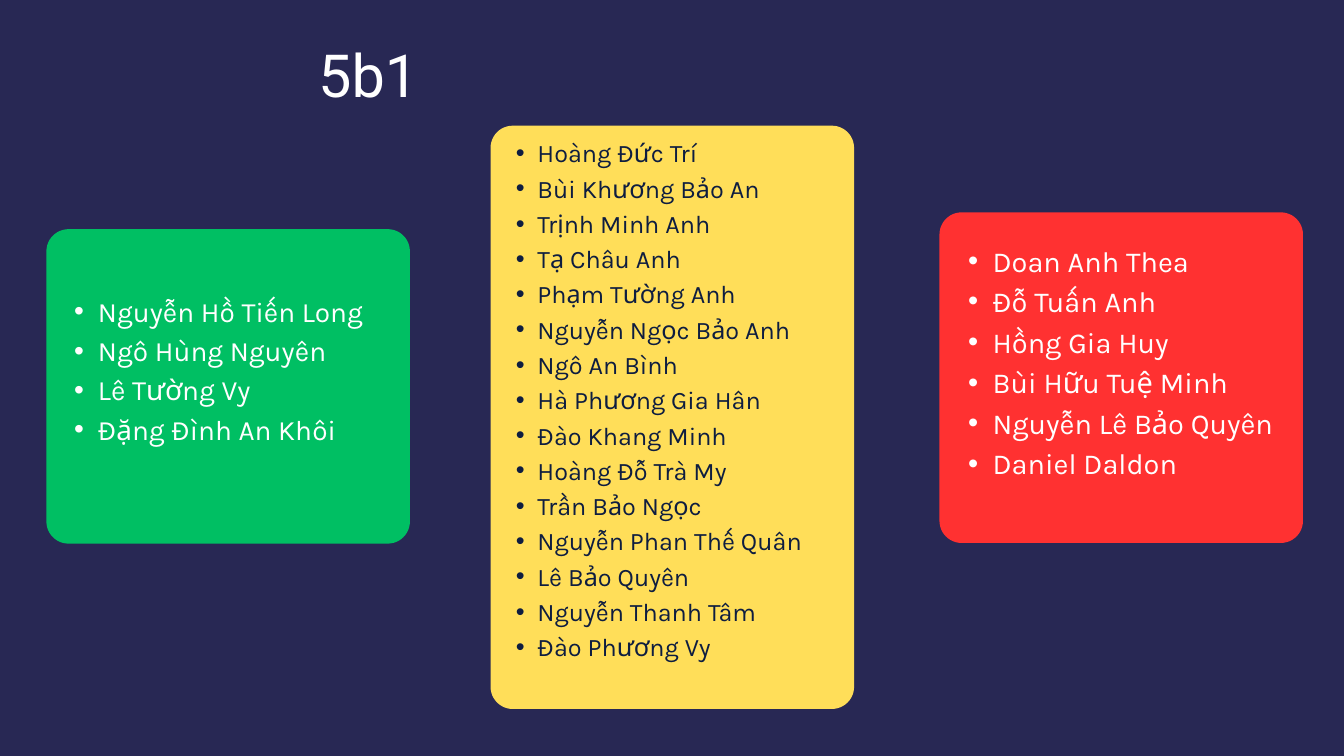
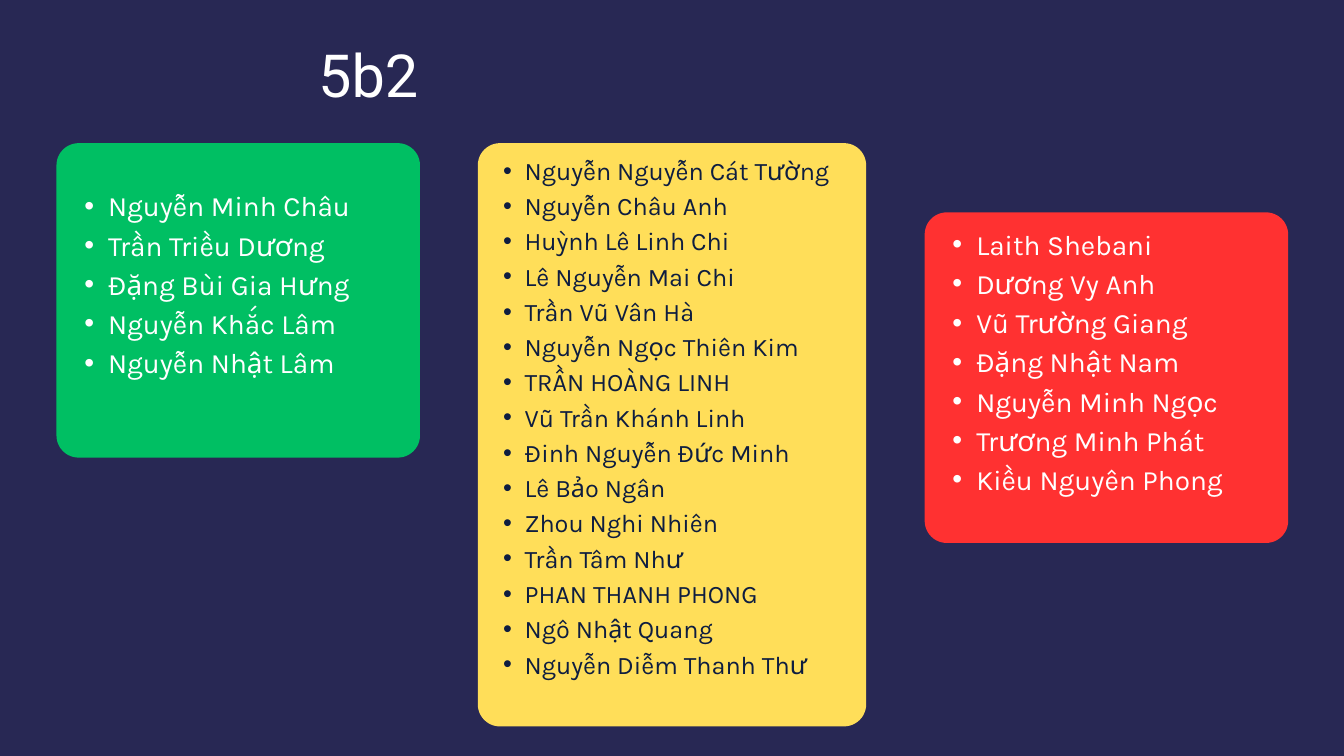
"""Build the class lists of 5b1 and 5b2, each in three coloured cards."""
from collections import namedtuple

from lxml import etree
from pptx import Presentation
from pptx import util as u
from pptx.dml.color import RGBColor
from pptx.enum import shapes, text
from pptx.oxml import ns

NAVY = RGBColor(0x28, 0x28, 0x54)
INK = RGBColor(0x0E, 0x1D, 0x40)
WHITE = RGBColor(0xFF, 0xFF, 0xFF)
GREEN = RGBColor(0x00, 0xBF, 0x63)
YELLOW = RGBColor(0xFF, 0xDE, 0x59)
RED = RGBColor(0xFF, 0x31, 0x31)

CORNER = 0.33
PADDING = 0.06
FOOT_SPACE = 0.37
LINE_RATIO = 1.4
INDENT_RATIO = 1.7

Look = namedtuple("Look", "fill ink rise")
Card = namedtuple("Card", "look left top width height size names")

GREEN_LOOK = Look(GREEN, WHITE, 0.2)
YELLOW_LOOK = Look(YELLOW, INK, 0.23)
RED_LOOK = Look(RED, WHITE, 0.19)

CLASSES = {
    "5b1": [
        Card(RED_LOOK, 13.98, 3.16, 5.41, 4.92, 31, [
            "Doan Anh Thea", "Đỗ Tuấn Anh", "Hồng Gia Huy",
            "Bùi Hữu Tuệ Minh", "Nguyễn Lê Bảo Quyên", "Daniel Daldon"]),
        Card(YELLOW_LOOK, 7.3, 1.87, 5.41, 8.68, 27, [
            "Hoàng Đức Trí", "Bùi Khương Bảo An", "Trịnh Minh Anh",
            "Tạ Châu Anh", "Phạm Tường Anh", "Nguyễn Ngọc Bảo Anh",
            "Ngô An Bình", "Hà Phương Gia Hân", "Đào Khang Minh",
            "Hoàng Đỗ Trà My", "Trần Bảo Ngọc", "Nguyễn Phan Thế Quân",
            "Lê Bảo Quyên", "Nguyễn Thanh Tâm", "Đào Phương Vy"]),
        Card(GREEN_LOOK, 0.69, 3.41, 5.41, 4.68, 30, [
            "Nguyễn Hồ Tiến Long", "Ngô Hùng Nguyên", "Lê Tường Vy",
            "Đặng Đình An Khôi"]),
    ],
    "5b2": [
        Card(RED_LOOK, 13.76, 3.16, 5.41, 4.92, 30, [
            "Laith Shebani", "Dương Vy Anh", "Vũ Trường Giang",
            "Đặng Nhật Nam", "Nguyễn Minh Ngọc", "Trương Minh Phát",
            "Kiều Nguyên Phong"]),
        Card(YELLOW_LOOK, 7.11, 2.13, 5.78, 8.68, 27, [
            "Nguyễn Nguyễn Cát Tường", "Nguyễn Châu Anh", "Huỳnh Lê Linh Chi",
            "Lê Nguyễn Mai Chi", "Trần Vũ Vân Hà", "Nguyễn Ngọc Thiên Kim",
            "TRẦN HOÀNG LINH", "Vũ Trần Khánh Linh", "Đinh Nguyễn Đức Minh",
            "Lê Bảo Ngân", "Zhou Nghi Nhiên", "Trần Tâm Như",
            "PHAN THANH PHONG", "Ngô Nhật Quang", "Nguyễn Diễm Thanh Thư"]),
        Card(GREEN_LOOK, 0.84, 2.13, 5.41, 4.68, 30, [
            "Nguyễn Minh Châu", "Trần Triều Dương", "Đặng Bùi Gia Hưng",
            "Nguyễn Khắc Lâm", "Nguyễn Nhật Lâm"]),
    ],
}


def set_all(target, values):
    """Set every attribute named in a dict of values."""
    for name, value in values.items():
        setattr(target, name, value)


def add_text_frame(page, left, top, width, height, padding, foot, anchor):
    """Add a wrapping text box and return its text frame."""
    box = page.shapes.add_textbox(*map(u.Inches, (left, top, width, height)))
    frame = box.text_frame
    set_all(frame, {
        "word_wrap": True,
        "vertical_anchor": anchor,
        "margin_left": u.Inches(padding),
        "margin_right": u.Inches(padding),
        "margin_top": u.Inches(padding),
        "margin_bottom": u.Inches(padding + foot),
    })
    return frame


def write_line(para, words, font, size, colour, spacing):
    """Write one formatted line in a paragraph."""
    para.line_spacing = u.Pt(spacing)
    span = para.add_run()
    span.text = words
    set_all(span.font, {"name": font, "size": u.Pt(size)})
    span.font.color.rgb = colour


def add_bullet(para, size):
    """Give a paragraph a bullet with a hanging indent that follows its size."""
    para.level = 1
    properties = para._p.get_or_add_pPr()
    indent = u.Pt(size * INDENT_RATIO)
    properties.set("marL", str(indent))
    properties.set("indent", str(-indent // 2))
    etree.SubElement(properties, ns.qn("a:buFont"), typeface="Arial")
    etree.SubElement(properties, ns.qn("a:buChar"), char="•")


def add_title(page, words):
    """Add the class name above the cards."""
    frame = add_text_frame(page, 0.69, 0.65, 9.58, 1, 0, 0, text.MSO_ANCHOR.TOP)
    para = frame.paragraphs[0]
    para.alignment = text.PP_ALIGN.CENTER
    write_line(para, words, "Roboto", 63.6, WHITE, 70.6)


def add_card(page, card):
    """Add a rounded card and its bulleted list of names."""
    look = card.look
    area = map(u.Inches, (card.left, card.top, card.width, card.height))
    panel = page.shapes.add_shape(shapes.MSO_SHAPE.ROUNDED_RECTANGLE, *area)
    panel.adjustments[0] = CORNER / min(card.width, card.height)
    panel.shadow.inherit = False
    panel.fill.solid()
    panel.fill.fore_color.rgb = look.fill
    panel.line.fill.background()

    frame = add_text_frame(page, card.left, card.top - look.rise, card.width,
                           card.height + look.rise, PADDING, FOOT_SPACE,
                           text.MSO_ANCHOR.MIDDLE)
    for number, name in enumerate(card.names):
        para = frame.add_paragraph() if number else frame.paragraphs[0]
        add_bullet(para, card.size)
        write_line(para, name, "Karla", card.size, look.ink, card.size * LINE_RATIO)


def add_class_page(deck, title, cards):
    """Add one slide with a class name and its cards."""
    page = deck.slides.add_slide(deck.slide_layouts[6])
    page.background.fill.solid()
    page.background.fill.fore_color.rgb = NAVY
    add_title(page, title)
    for card in cards:
        add_card(page, card)


def main():
    """Build and save the deck."""
    deck = Presentation()
    set_all(deck, {"slide_width": u.Inches(20), "slide_height": u.Inches(11.25)})
    for title, cards in CLASSES.items():
        add_class_page(deck, title, cards)
    deck.save("out.pptx")


if __name__ == "__main__":
    main()
